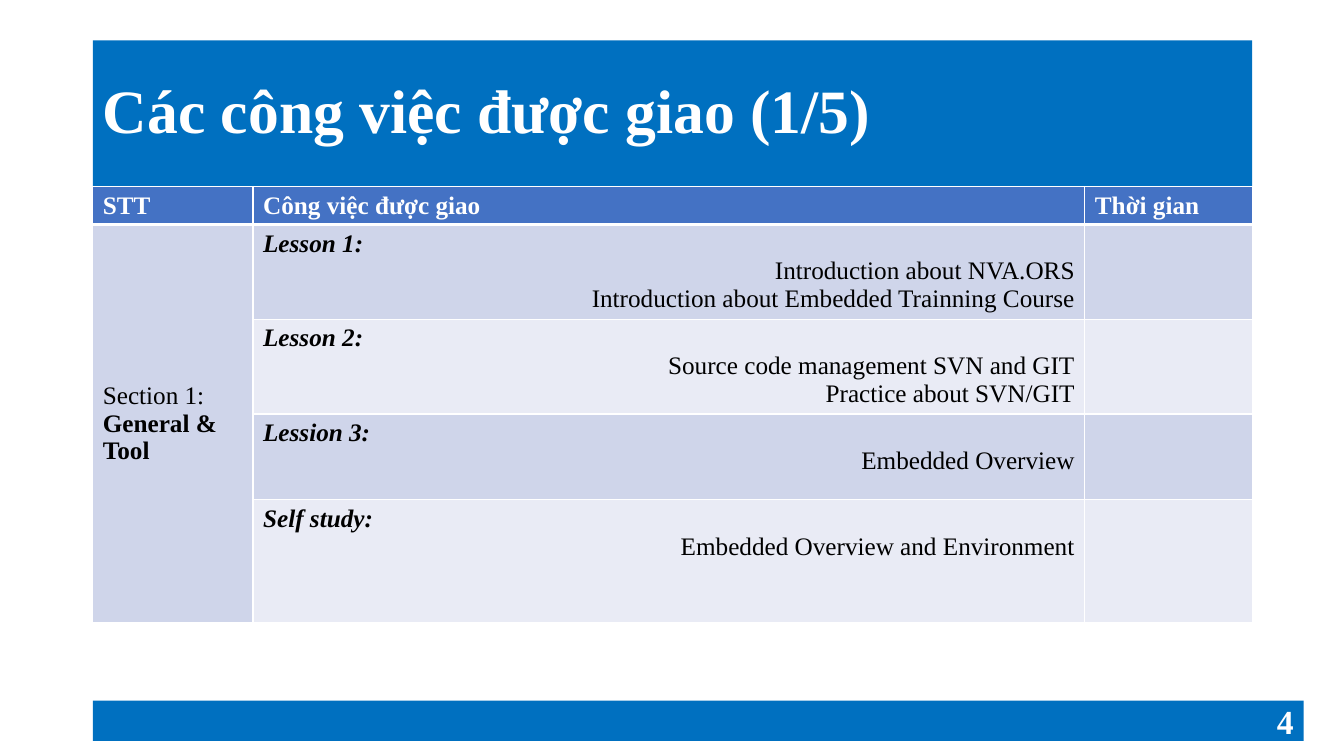
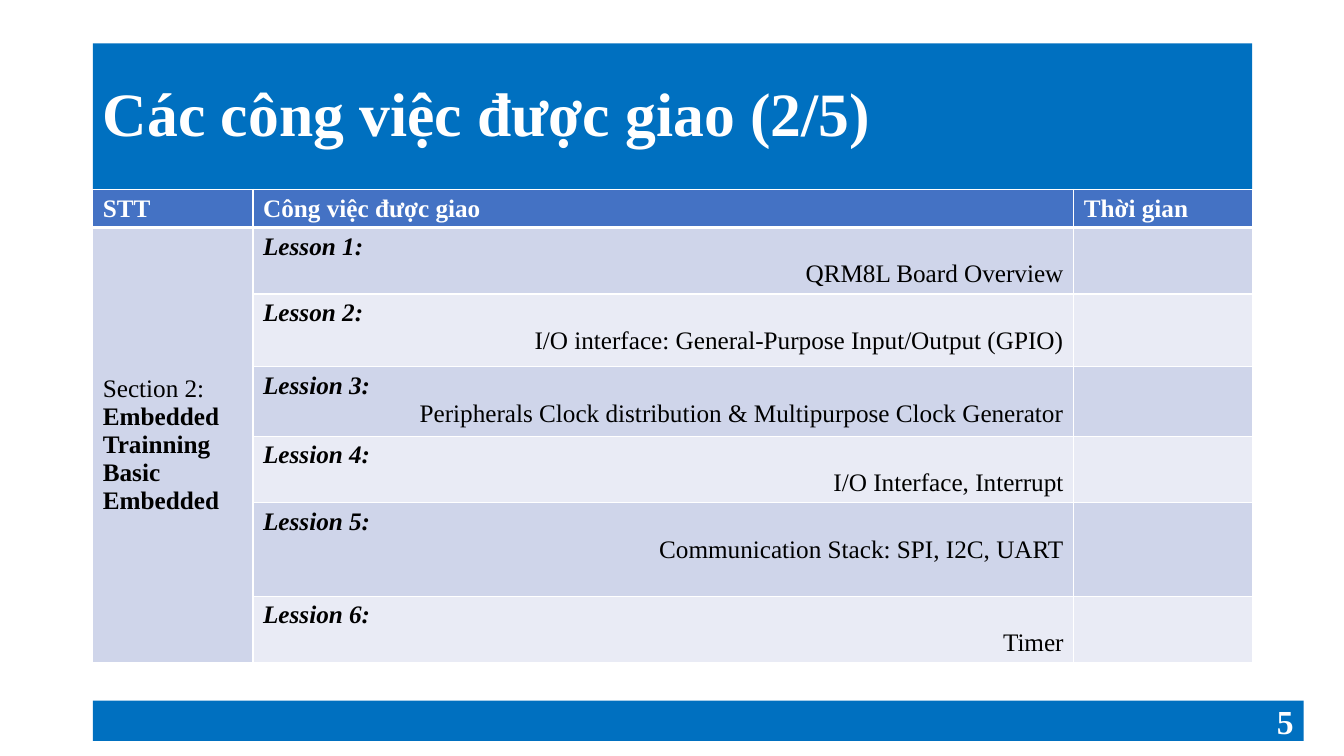
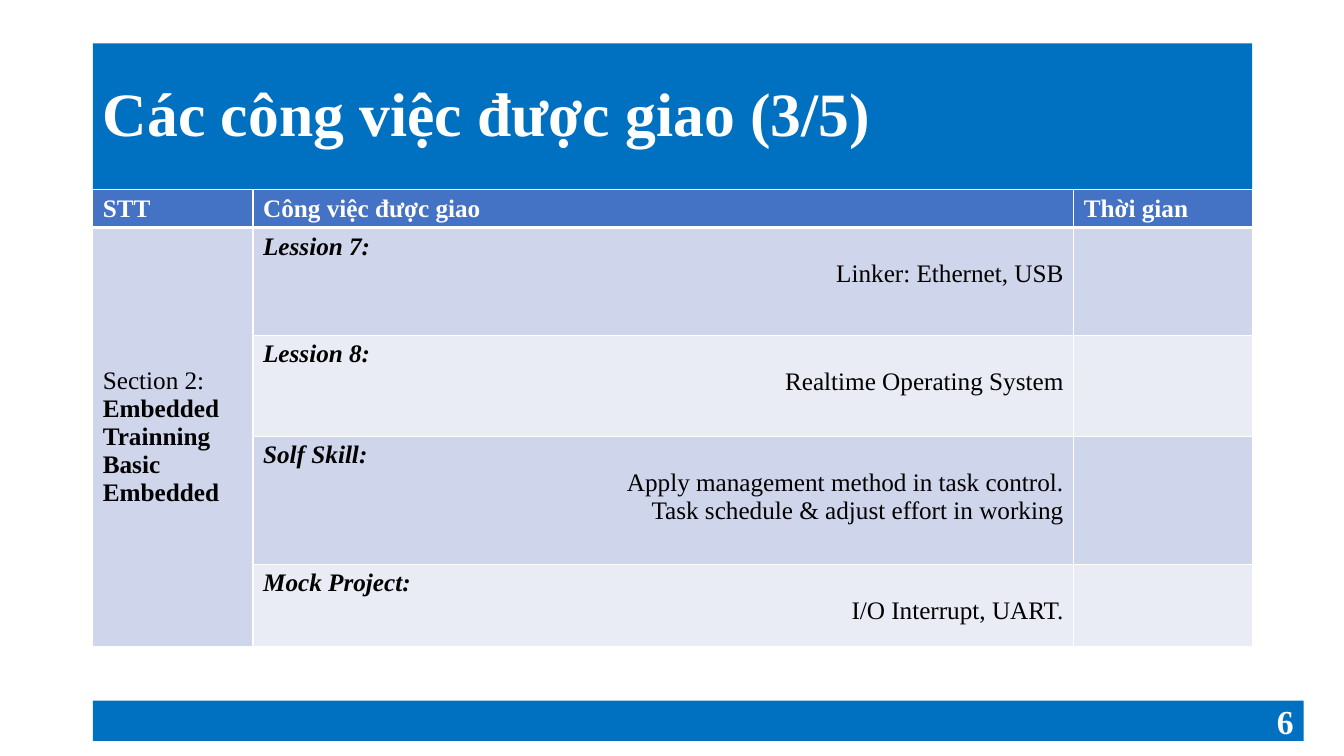
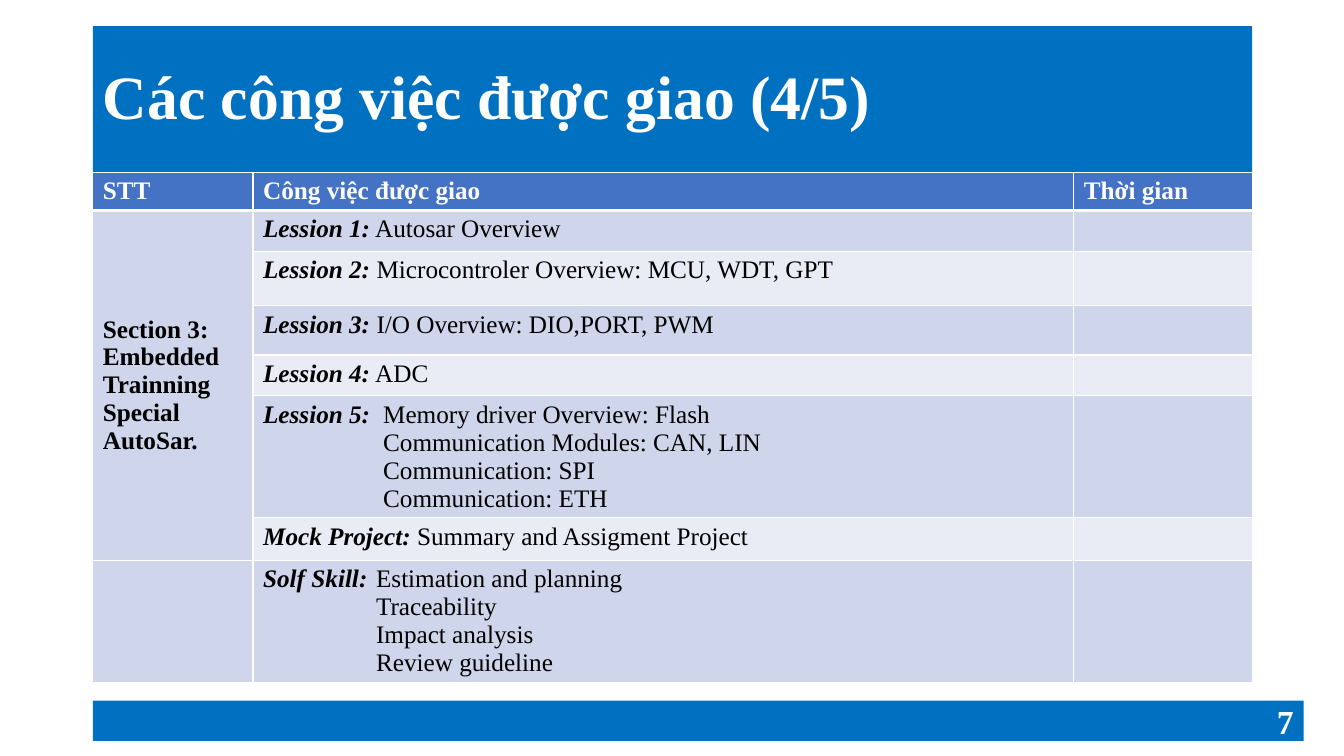
from lxml.etree import SubElement
from pptx import Presentation
from pptx.dml.color import RGBColor
from pptx.enum.shapes import MSO_SHAPE
from pptx.enum.text import MSO_ANCHOR, MSO_AUTO_SIZE, PP_ALIGN
from pptx.oxml.ns import qn
from pptx.util import Inches, Pt

FONT = "Times New Roman"
BAND_BLUE = RGBColor(0x00, 0x70, 0xC0)
HEADER_BLUE = RGBColor(0x44, 0x72, 0xC4)
ROW_DARK = RGBColor(0xCF, 0xD5, 0xEA)
ROW_LIGHT = RGBColor(0xE9, 0xEB, 0xF5)
WHITE = RGBColor(0xFF, 0xFF, 0xFF)
BLACK = RGBColor(0x00, 0x00, 0x00)

LEFT, WIDTH, TITLE_HEIGHT, HEADER_HEIGHT = 0.92, 11.5, 1.45, 0.37
FOOTER_TOP, FOOTER_WIDTH, FOOTER_HEIGHT = 6.95, 12.01, 0.4
FIRST_NUMBER = 4
HEADERS = ("STT", "Công việc được giao", "Thời gian")
NARROW_TIME = (1.59, 8.25, 1.66)
WIDE_TIME = (1.59, 8.14, 1.77)
BASIC_SECTION = [("Section 2:", False), ("Embedded Trainning Basic Embedded", True)]

SLIDES = [
    {
        "top": 0.4, "columns": NARROW_TIME, "span": 4, "inline": False,
        "section": [("Section 1:", False), ("General & Tool", True)],
        "rows": [
            (0.94, "Lesson 1:", ["Introduction about NVA.ORS",
                                 "Introduction about Embedded Trainning Course"]),
            (0.94, "Lesson 2:", ["Source code management SVN and GIT",
                                 "Practice about SVN/GIT"]),
            (0.85, "Lession 3:", ["Embedded Overview"]),
            (1.22, "Self study:", ["Embedded Overview and Environment"]),
        ],
    },
    {
        "top": 0.43, "columns": WIDE_TIME, "span": 6, "inline": False,
        "section": BASIC_SECTION,
        "rows": [
            (0.66, "Lesson 1:", ["QRM8L Board Overview"]),
            (0.72, "Lesson 2:", ["I/O interface: General-Purpose Input/Output (GPIO)"]),
            (0.69, "Lession 3:", ["Peripherals Clock distribution & Multipurpose Clock Generator"]),
            (0.66, "Lession 4:", ["I/O Interface, Interrupt"]),
            (0.93, "Lession 5:", ["Communication Stack: SPI, I2C, UART"]),
            (0.66, "Lession 6:", ["Timer"]),
        ],
    },
    {
        "top": 0.43, "columns": WIDE_TIME, "span": 4, "inline": False,
        "section": BASIC_SECTION,
        "rows": [
            (1.07, "Lession 7:", ["Linker: Ethernet, USB"]),
            (1.0, "Lession 8:", ["Realtime Operating System"]),
            (1.27, "Solf Skill:", ["Apply management method in task control.",
                                   "Task schedule & adjust effort in working"]),
            (0.82, "Mock Project:", ["I/O Interrupt, UART."]),
        ],
    },
    {
        "top": 0.26, "columns": WIDE_TIME, "span": 6, "inline": True,
        "section": [("Section 3: Embedded Trainning Special AutoSar.", True)],
        "rows": [
            (0.38, "Lession 1:", ["Autosar Overview"]),
            (0.54, "Lession 2:", ["Microcontroler Overview: MCU, WDT, GPT"]),
            (0.49, "Lession 3:", ["I/O Overview: DIO,PORT, PWM"]),
            (0.39, "Lession 4:", ["ADC"]),
            (1.21, "Lession 5:", ["Memory driver Overview: Flash",
                                  "Communication Modules: CAN, LIN",
                                  "Communication: SPI", "Communication: ETH"]),
            (0.42, "Mock Project:", ["Summary and Assigment Project"]),
            (1.21, "Solf Skill:", ["Estimation and planning", "Traceability",
                                   "Impact analysis", "Review guideline"]),
        ],
    },
]
DETAIL_INDENTS = {"Lession 5:": 1.19, "Solf Skill:": 1.12}


def write(paragraph, text, size=18, color=BLACK, bold=False, italic=False,
          align=PP_ALIGN.LEFT):
    paragraph.alignment = align
    run = paragraph.add_run()
    run.text = text
    font = run.font
    font.name, font.size, font.bold, font.italic = FONT, Pt(size), bold, italic
    font.color.rgb = color


def next_paragraph(frame):
    first = frame.paragraphs[0]
    return frame.add_paragraph() if first.runs else first


def paint(shape, color):
    shape.fill.solid()
    shape.fill.fore_color.rgb = color
    shape.line.fill.background()
    shape.shadow.inherit = False


def set_borders(cell, top, bottom):
    properties = cell._tc.get_or_add_tcPr()
    sides = (("a:lnL", 1), ("a:lnR", 1), ("a:lnT", top), ("a:lnB", bottom))
    for position, (tag, points) in enumerate(sides):
        line = SubElement(properties, qn(tag), w=str(Pt(points)))
        fill = SubElement(line, qn("a:solidFill"))
        SubElement(fill, qn("a:srgbClr"), val=str(WHITE))
        properties.insert(position, line)


def add_title(slide, text, top):
    title = slide.shapes.title
    title.left, title.top = Inches(LEFT), Inches(top)
    title.width, title.height = Inches(WIDTH), Inches(TITLE_HEIGHT)
    paint(title, BAND_BLUE)
    frame = title.text_frame
    frame.auto_size = MSO_AUTO_SIZE.NONE
    frame.vertical_anchor = MSO_ANCHOR.MIDDLE
    frame.paragraphs[0].line_spacing = 0.9
    write(frame.paragraphs[0], text, size=44, color=WHITE, bold=True)


def add_footer(slide, number):
    footer = slide.shapes.add_shape(
        MSO_SHAPE.RECTANGLE, Inches(LEFT), Inches(FOOTER_TOP),
        Inches(FOOTER_WIDTH), Inches(FOOTER_HEIGHT))
    paint(footer, BAND_BLUE)
    footer.text_frame.vertical_anchor = MSO_ANCHOR.MIDDLE
    write(footer.text_frame.paragraphs[0], str(number), size=24, color=WHITE,
          bold=True, align=PP_ALIGN.RIGHT)


def write_task(frame, label, details, inline):
    heading = frame.paragraphs[0]
    write(heading, label, bold=True, italic=True)
    if not inline:
        for detail in details:
            write(frame.add_paragraph(), detail, align=PP_ALIGN.RIGHT)
        return
    indent = DETAIL_INDENTS.get(label)
    write(heading, ("\t" if indent else " ") + details[0])
    for detail in details[1:]:
        write(frame.add_paragraph(), detail)
    if indent:
        for paragraph in frame.paragraphs:
            properties = paragraph._p.get_or_add_pPr()
            properties.set("marL", str(Inches(indent)))
            properties.set("indent", "0")
        heading._p.pPr.set("indent", str(-Inches(indent)))


def add_task_table(slide, content):
    rows = content["rows"]
    heights = [HEADER_HEIGHT] + [row[0] for row in rows]
    table = slide.shapes.add_table(
        len(heights), len(HEADERS), Inches(LEFT),
        Inches(content["top"] + TITLE_HEIGHT), Inches(WIDTH),
        Inches(sum(heights))).table
    table.first_row = table.horz_banding = False
    for column, width in zip(table.columns, content["columns"]):
        column.width = Inches(width)
    for index, height in enumerate(heights):
        table.rows[index].height = Inches(height)
        for column in range(len(HEADERS)):
            cell = table.cell(index, column)
            cell.fill.solid()
            banded = ROW_DARK if index % 2 or column == 0 else ROW_LIGHT
            cell.fill.fore_color.rgb = banded if index else HEADER_BLUE
            set_borders(cell, top=3 if index == 1 else 1, bottom=1 if index else 3)
    for column, header in enumerate(HEADERS):
        write(table.cell(0, column).text_frame.paragraphs[0], header,
              color=WHITE, bold=True)
    for index, (_, label, details) in enumerate(rows, start=1):
        write_task(table.cell(index, 1).text_frame, label, details, content["inline"])
    section = table.cell(1, 0)
    section.merge(table.cell(content["span"], 0))
    section.vertical_anchor = MSO_ANCHOR.MIDDLE
    for text, bold in content["section"]:
        write(next_paragraph(section.text_frame), text, bold=bold)


presentation = Presentation()
presentation.slide_width, presentation.slide_height = Inches(13.33), Inches(7.5)
title_only = presentation.slide_layouts[5]
for order, content in enumerate(SLIDES):
    slide = presentation.slides.add_slide(title_only)
    add_title(slide, f"Các công việc được giao ({order + 1}/5)", content["top"])
    add_task_table(slide, content)
    add_footer(slide, FIRST_NUMBER + order)
presentation.save("out.pptx")
